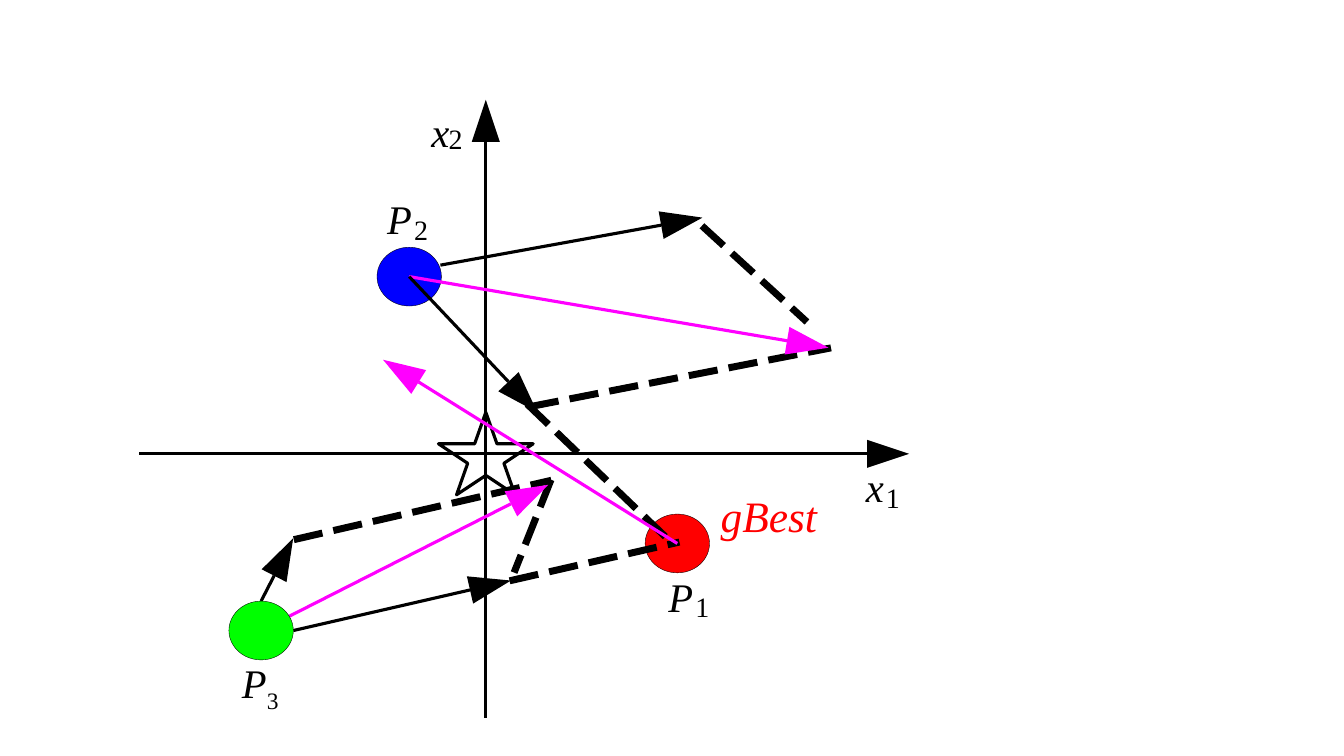
from math import hypot

from lxml.etree import SubElement
from pptx import Presentation
from pptx.dml.color import RGBColor
from pptx.enum.shapes import MSO_CONNECTOR, MSO_SHAPE
from pptx.enum.text import MSO_AUTO_SIZE
from pptx.oxml.ns import qn
from pptx.util import Pt

COLORS = {
    "black": "000000",
    "red": "FF0000",
    "green": "00FF00",
    "blue": "0000FF",
    "magenta": "FF00FF",
}
FONT = "Times New Roman"
HEAD_LENGTH = 30
HEAD_HALF_WIDTH = 10
LINE_WIDTH = 2.25
PARTICLE_WIDTH, PARTICLE_HEIGHT = 46, 42


def rgb(name):
    return RGBColor.from_string(COLORS[name])


def add_line(page, start, end, color="black", width=LINE_WIDTH, dashed=False):
    line = page.shapes.add_connector(
        MSO_CONNECTOR.STRAIGHT, *(Pt(value) for value in (*start, *end))
    )
    line.line.color.rgb = rgb(color)
    line.line.width = Pt(width)
    if dashed:
        pattern = SubElement(line.line._get_or_add_ln(), qn("a:custDash"))
        SubElement(pattern, qn("a:ds"), d="420000", sp="160000")
    SubElement(line._element.spPr, qn("a:effectLst"))
    return line


def add_arrow(page, start, tip, color="black"):
    length = hypot(tip[0] - start[0], tip[1] - start[1])
    along_x = (tip[0] - start[0]) / length
    along_y = (tip[1] - start[1]) / length
    base = (tip[0] - HEAD_LENGTH * along_x, tip[1] - HEAD_LENGTH * along_y)
    add_line(page, start, base, color)

    side_x, side_y = -along_y * HEAD_HALF_WIDTH, along_x * HEAD_HALF_WIDTH
    corners = [
        (base[0] + side_x, base[1] + side_y),
        (base[0] - side_x, base[1] - side_y),
    ]
    builder = page.shapes.build_freeform(Pt(tip[0]), Pt(tip[1]))
    builder.add_line_segments([(Pt(x), Pt(y)) for x, y in corners])
    head = builder.convert_to_shape()
    head.shadow.inherit = False
    head.fill.solid()
    head.fill.fore_color.rgb = rgb(color)
    head.line.fill.background()


def add_dashes(page, start, end):
    add_line(page, start, end, width=5, dashed=True)


def add_outlined(page, kind, left, top, width, height, fill=None, line_width=0.25):
    shape = page.shapes.add_shape(kind, Pt(left), Pt(top), Pt(width), Pt(height))
    shape.shadow.inherit = False
    if fill:
        shape.fill.solid()
        shape.fill.fore_color.rgb = rgb(fill)
    else:
        shape.fill.background()
    shape.line.color.rgb = rgb("black")
    shape.line.width = Pt(line_width)


def add_particle(page, center, color):
    left = center[0] - PARTICLE_WIDTH / 2
    top = center[1] - PARTICLE_HEIGHT / 2
    add_outlined(page, MSO_SHAPE.OVAL, left, top, PARTICLE_WIDTH, PARTICLE_HEIGHT, color)


def add_text(page, text, left, top, width, height, size=29, color="black",
             italic=True, subscript=""):
    box = page.shapes.add_textbox(Pt(left), Pt(top), Pt(width), Pt(height))
    frame = box.text_frame
    frame.margin_left = frame.margin_right = frame.margin_top = frame.margin_bottom = 0
    frame.word_wrap = False
    frame.auto_size = MSO_AUTO_SIZE.SHAPE_TO_FIT_TEXT
    para = frame.paragraphs[0]
    for part, slanted in ((text, italic), (subscript, False)):
        if part:
            span = para.add_run()
            span.text = part
            span.font.name = FONT
            span.font.size = Pt(size)
            span.font.italic = slanted
            span.font.color.rgb = rgb(color)
    if subscript:
        span.font._element.set("baseline", "-25000")


def add_symbol(page, letter, index, letter_at, index_at):
    add_text(page, letter, *letter_at, 18 if letter == "P" else 13, 34.5)
    add_text(page, index, *index_at, 10, 24, size=20, italic=False)


def main():
    deck = Presentation()
    deck.slide_width, deck.slide_height = Pt(960), Pt(540)
    page = deck.slides.add_slide(deck.slide_layouts[6])

    first, second, third = (483.8, 388.2), (292.3, 197.6), (186.5, 450.4)

    add_arrow(page, (99.4, 324.2), (649.4, 324.2))
    add_arrow(page, (347, 512.6), (347, 71.3))
    add_outlined(page, MSO_SHAPE.STAR_5_POINT, 313.2, 294.5, 67.7, 59,
                 line_width=LINE_WIDTH)

    add_symbol(page, "x", "1", (618.5, 329.8), (632.9, 343.4))
    add_symbol(page, "x", "2", (308.2, 76.3), (320.4, 87.1))
    add_particle(page, first, "red")
    add_symbol(page, "P", "1", (477.4, 408.2), (496.8, 421.2))
    add_particle(page, second, "blue")
    add_symbol(page, "P", "2", (276.5, 138.2), (295.9, 151.9))

    add_arrow(page, (third[0], 429.4), (209.5, 384.5))
    add_dashes(page, (393.6, 342.7), (367.2, 409))
    add_dashes(page, (209.9, 385.5), (393.8, 343.1))
    add_arrow(page, third, (391.7, 346.3), "magenta")

    add_arrow(page, (314.6, 189.4), (501.8, 155.5))
    add_dashes(page, (501.4, 161.3), (576.4, 230))
    add_dashes(page, (378.4, 290.5), (593.6, 248.5))
    add_arrow(page, second, (591.8, 248.4), "magenta")
    add_arrow(page, second, (383.8, 294.5))
    add_dashes(page, (376.6, 288.7), (479.8, 387.7))

    add_arrow(page, (209.5, third[1]), (365, 414.7))
    add_dashes(page, (364, 414.9), (485.3, 387.2))
    add_arrow(page, first, (273.6, 257), "magenta")
    add_particle(page, third, "green")
    add_text(page, "P", 172.8, 470.2, 27.4, 34.5, subscript="3")
    add_text(page, "gBest", 514.8, 349.2, 69, 37.4, size=31, color="red")

    deck.save("out.pptx")


if __name__ == "__main__":
    main()
